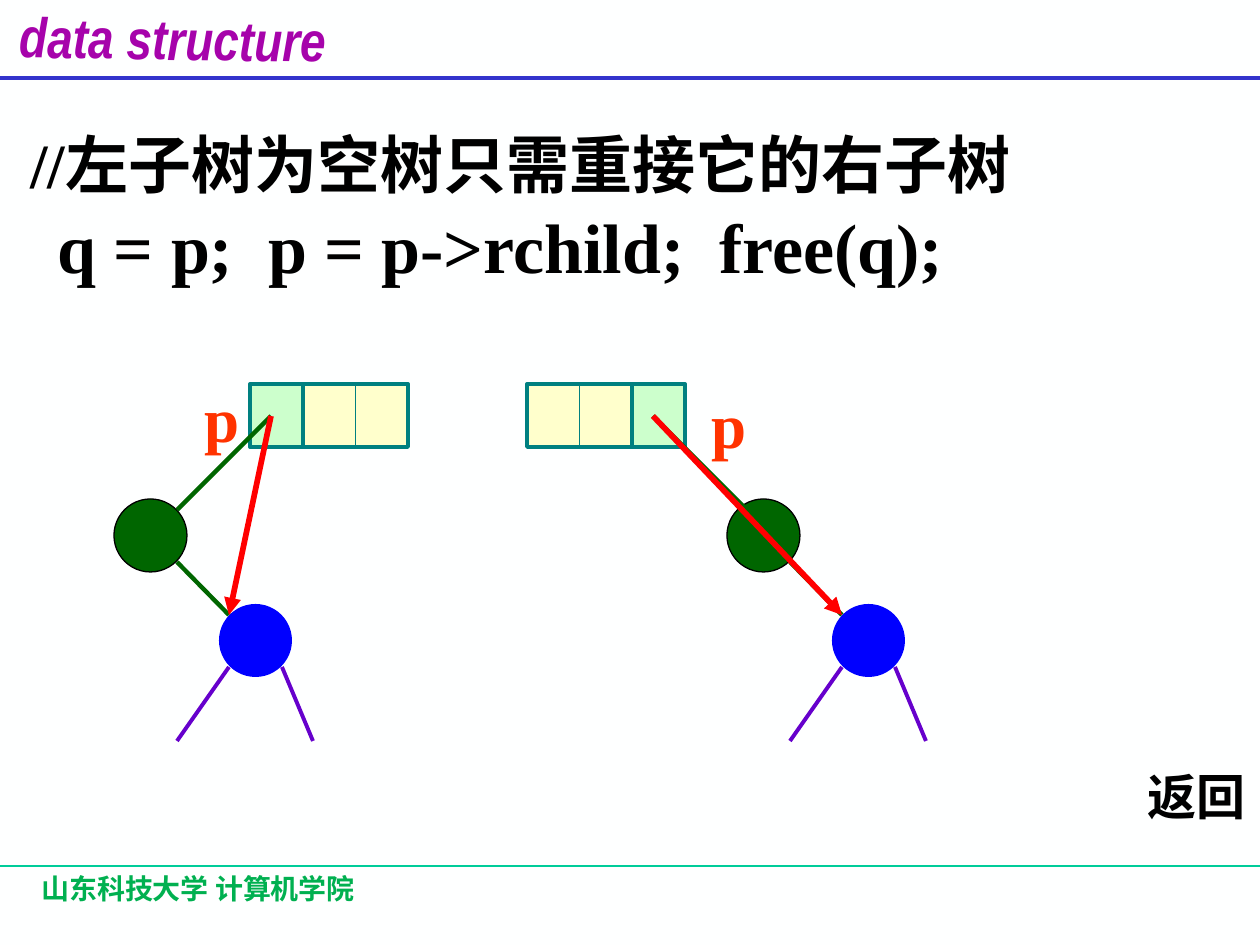
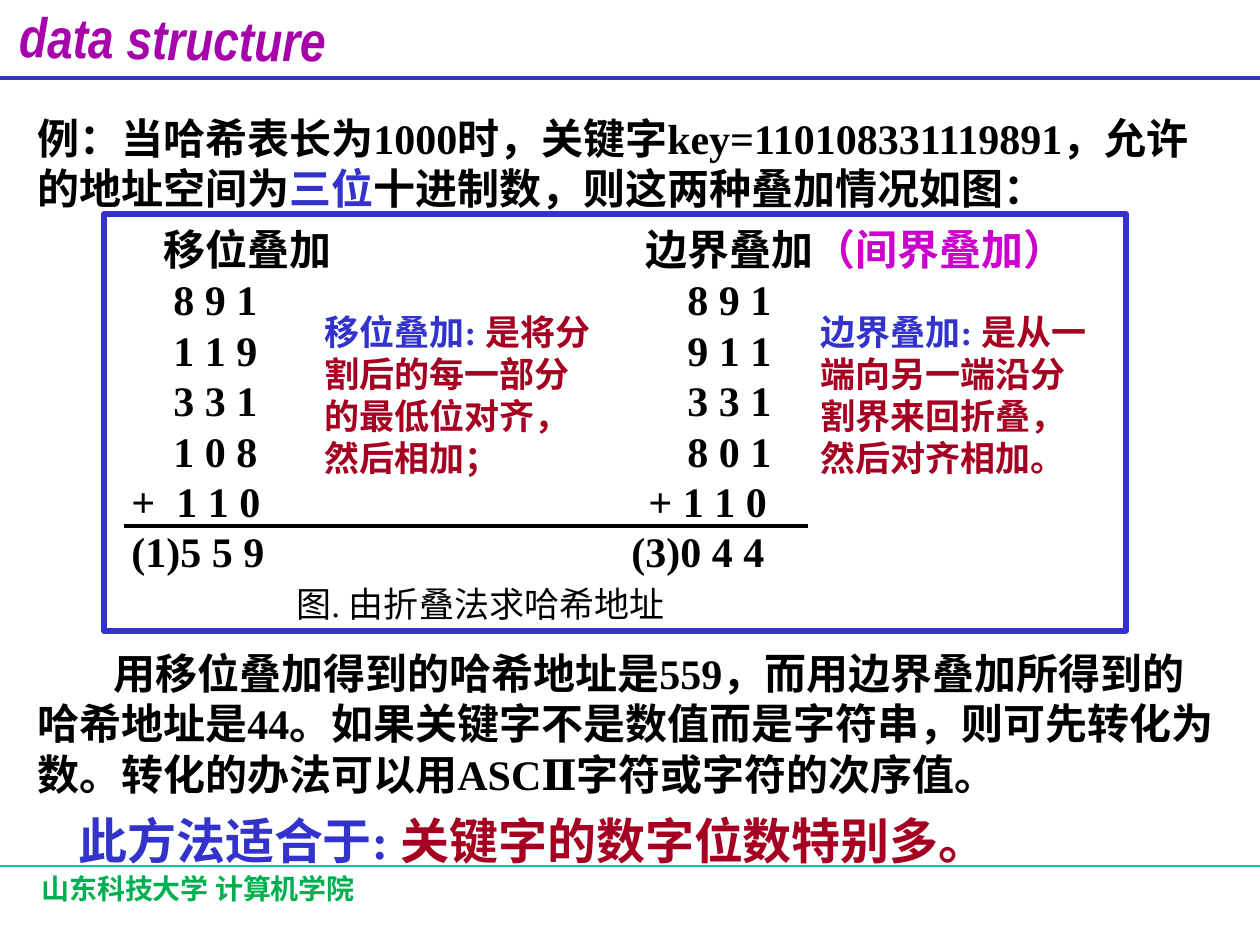
from lxml import etree
from pptx import Presentation
from pptx.dml.color import RGBColor
from pptx.enum import shapes, text
from pptx.oxml.ns import qn
from pptx.util import Emu, Pt

PAGE = (1260, 945)
INK, BLUE, RED, PINK = "000000", "3333CC", "A50021", "CC00CC"
TEAL, GREEN, NODE, LEG, ARROW = "008080", "006600", "0000FF", "6600CC", "FF0000"
SERIF = "Times New Roman"
SUMS = [("8 9 1", "8 9 1"), ("1 1 9", "9 1 1"), ("3 3 1", "3 3 1"), ("1 0 8", "8 0 1")]


def px(length):
    """Turn whole pixels into EMU."""
    return Emu(round(length * 914400 / 126))


def rgb(code):
    """Turn a hex string into a colour."""
    return RGBColor.from_string(code)


def add_para(frame, spans, first=False, size=24, bold=True, italic=False, font=SERIF,
             tabs=(), indent=0, **spacing):
    """Write one paragraph of (words, colour) spans."""
    para = frame.paragraphs[0] if first else frame.add_paragraph()
    props = para._p.get_or_add_pPr()
    props.set("hangingPunct", "0")
    if indent:
        props.set("indent", str(px(indent)))
    if tabs:
        stops = etree.SubElement(props, qn("a:tabLst"))
        for stop in tabs:
            etree.SubElement(stops, qn("a:tab"), pos=str(px(stop)), algn="l")
    for name, value in spacing.items():
        setattr(para, name, value)
    for words, colour in spans:
        span = para.add_run()
        span.text = words
        for name, value in dict(size=Pt(size), bold=bold, italic=italic, name=font).items():
            setattr(span.font, name, value)
        span.font.color.rgb = rgb(colour)


def add_text(page, box, spans, wrap=False, grow=True, **style):
    """Add a text box with its first paragraph."""
    label = page.shapes.add_textbox(*map(px, box))
    label.text_frame.word_wrap = wrap
    if grow:
        label.text_frame.auto_size = text.MSO_AUTO_SIZE.SHAPE_TO_FIT_TEXT
    add_para(label.text_frame, spans, first=True, **style)
    return label


def add_block(page, kind, box, fill=None, line=None, weight=2.25):
    """Add a preset shape with optional fill and line."""
    block = page.shapes.add_shape(kind, *map(px, box))
    block.shadow.inherit = False
    for part, colour in ((block.fill, fill), (block.line.fill, line)):
        if colour:
            part.solid()
            part.fore_color.rgb = rgb(colour)
        else:
            part.background()
    if line:
        block.line.width = Pt(weight)
    return block


def add_line(page, start, end, colour, weight, arrow=False):
    """Add a straight connector, with an arrowhead if asked."""
    line = page.shapes.add_connector(shapes.MSO_CONNECTOR.STRAIGHT, *map(px, (*start, *end)))
    line.line.color.rgb = rgb(colour)
    line.line.width = Pt(weight)
    if arrow:
        etree.SubElement(line.line._get_or_add_ln(), qn("a:tailEnd"), type="triangle")
    etree.SubElement(line._element.spPr, qn("a:effectLst"))
    return line


def add_page(deck):
    """Add a blank page with the shared header and footer."""
    page = deck.slides.add_slide(deck.slide_layouts[6])
    page.background.fill.solid()
    page.background.fill.fore_color.rgb = rgb("FEFFFF")
    for y, colour, weight in ((866, "00CC99", 0.75), (78, BLUE, 2.25)):
        add_line(page, (0, y), (PAGE[0], y), colour, weight)
    title = add_text(page, (7, -2, 345, 68), [("data structure", "A603AB")], grow=False,
                     size=32, italic=True, font="Arial Narrow")
    title.rotation = 0.8
    add_text(page, (29, 865, 522, 63), [("山东科技大学 计算机学院", "00B050")], wrap=True,
             grow=False, size=16, font="Noto Sans CJK SC")
    return page


def draw_tree(page, left, top, pointer, fields, link, label):
    """Draw a record whose pointer skips the deleted node; parts are offsets from left, top."""
    def at(x, y):
        return left + x, top + y

    rect, oval = shapes.MSO_SHAPE.RECTANGLE, shapes.MSO_SHAPE.OVAL
    add_block(page, rect, (*at(pointer, 0), 53, 63), "CCFFCC", TEAL)
    record = add_block(page, rect, (*at(fields, 0), 105, 63), "FFFFCC", TEAL)
    divider = add_line(page, at(fields + 52, 0), at(fields + 52, 63), TEAL, 0.75)
    divider.begin_connect(record, 0)
    divider.end_connect(record, 2)
    add_block(page, oval, (*at(0, 115), 73, 73), GREEN, INK, 0.75)
    add_block(page, oval, (*at(105, 220), 73, 73), NODE)
    for start, end in (((115, 283), (63, 357)), ((168, 283), (199, 357))):
        add_line(page, at(*start), at(*end), LEG, 2.25)
    source, child = at(pointer + 21, 32), at(115, 231)
    add_line(page, at(63, 178), child, GREEN, 2.5)
    add_line(page, source, at(link, 126), GREEN, 2.5)
    add_line(page, source, child, ARROW, 3.25, arrow=True)
    add_text(page, (*at(*label), 62, 88), [("p", "FF3300")], size=36)


def build_deletion(page):
    """Show deletion of a node without a left subtree."""
    add_text(page, (18, 82, 1025, 126), [("//左子树为空树只需重接它的右子树", INK)],
             size=36, line_spacing=1.5)
    add_text(page, (45, 197, 918, 97), [("q = p;  p = p->rchild;  free(q);", INK)], size=40)
    draw_tree(page, 114, 384, pointer=136, fields=189, link=63, label=(78, -11))
    draw_tree(page, 727, 384, pointer=-95, fields=-200, link=20, label=(-28, -5))
    add_text(page, (1135, 760, 125, 72), [("返回", INK)], size=28)


def draw_folding(page, left, top):
    """Write the worked sums of both folding methods."""
    frame = add_text(page, (left, top, 1208, 850), [
        ("例：当哈希表长为1000时，关键字key=110108331119891，允许的地址空间为", INK),
        ("三位", BLUE), ("十进制数，则这两种叠加情况如图：", INK)], wrap=True).text_frame
    add_para(frame, [("\t移位叠加\t边界叠加", INK), ("（间界叠加）", PINK)],
             tabs=(126, 608), space_before=Pt(6))
    rows = [("\t%s\t%s" % pair, (136, 650)) for pair in SUMS]
    rows += [("\t+\t1 1 0\t+ 1 1 0", (94, 139, 611)), ("\t(1)5 5 9\t(3)0 4 4", (94, 594))]
    for words, tabs in rows:
        add_para(frame, [(words, INK)], tabs=tabs)
    add_para(frame, [("\t图. 由折叠法求哈希地址", INK)], size=20, bold=False, tabs=(259,),
             space_before=Pt(3.5))
    add_para(frame, [("用移位叠加得到的哈希地址是559，而用边界叠加所得到的哈希地址是44。"
                      "如果关键字不是数值而是字符串，则可先转化为数。"
                      "转化的办法可以用ASCⅡ字符或字符的次序值。", INK)],
             indent=76, space_before=Pt(13))


def build_folding(page):
    """Show the folding methods for hash addresses."""
    draw_folding(page, 25, 106)
    add_line(page, (124, 526), (808, 526), INK, 2)
    notes = [((66, 790, 1156, 87), 28, 1.25, "此方法适合于: ", "关键字的数字位数特别多。"),
             ((312, 304, 297, 181), 20, 1.0, "移位叠加: ",
              "是将分割后的每一部分的最低位对齐，然后相加；"),
             ((808, 304, 297, 181), 20, 1.0, "边界叠加: ",
              "是从一端向另一端沿分割界来回折叠，然后对齐相加。")]
    for box, size, spacing, term, meaning in notes:
        add_text(page, box, [(term, BLUE), (meaning, RED)], wrap=True, size=size,
                 line_spacing=spacing)
    add_block(page, shapes.MSO_SHAPE.RECTANGLE, (104, 214, 1022, 417), line=BLUE, weight=3)


def main():
    """Build and save the deck."""
    deck = Presentation()
    deck.slide_width, deck.slide_height = map(px, PAGE)
    for build in (build_deletion, build_folding):
        build(add_page(deck))
    deck.save("out.pptx")


if __name__ == "__main__":
    main()
